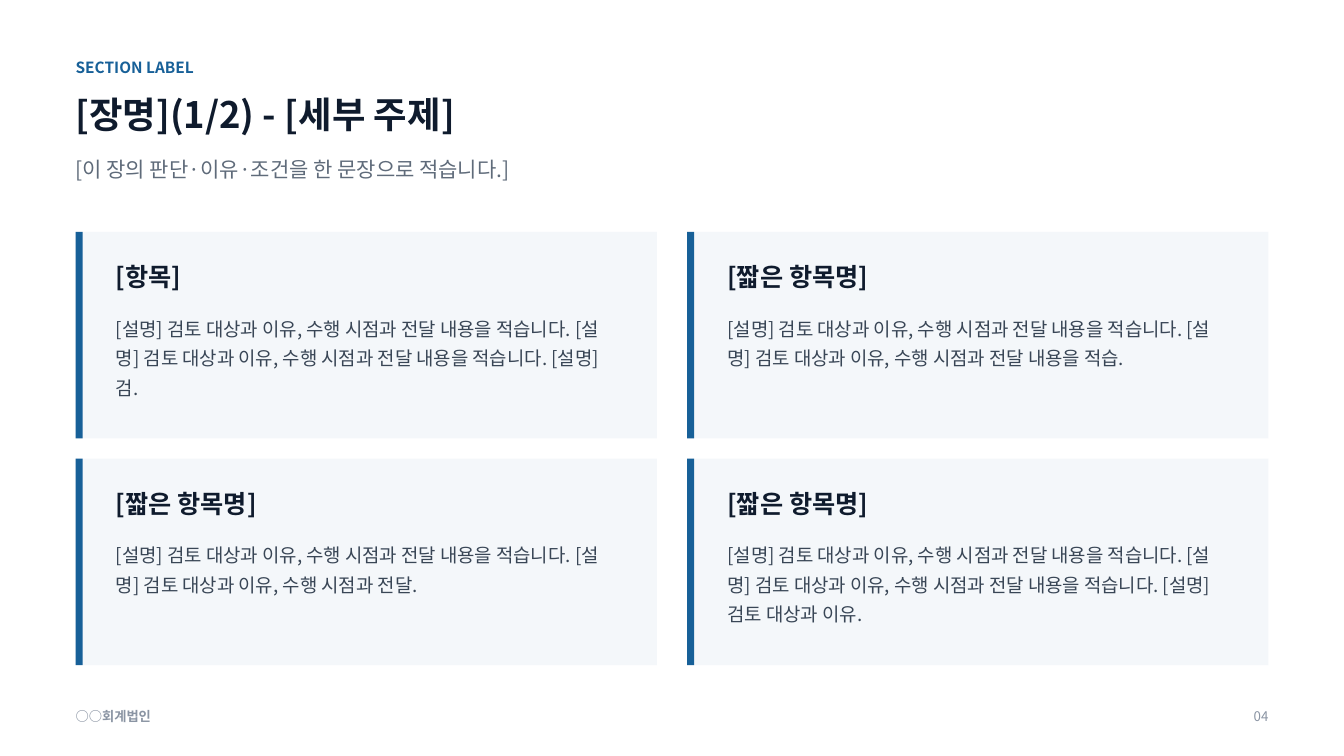
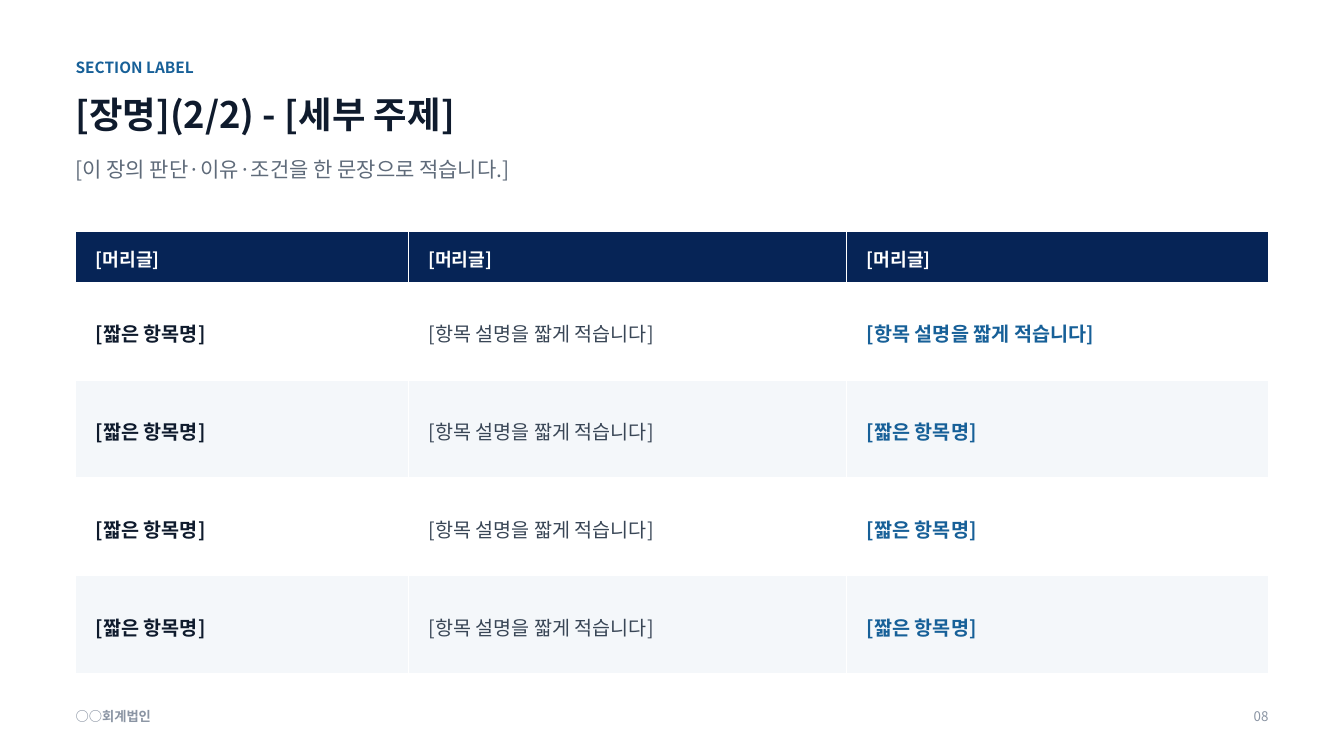
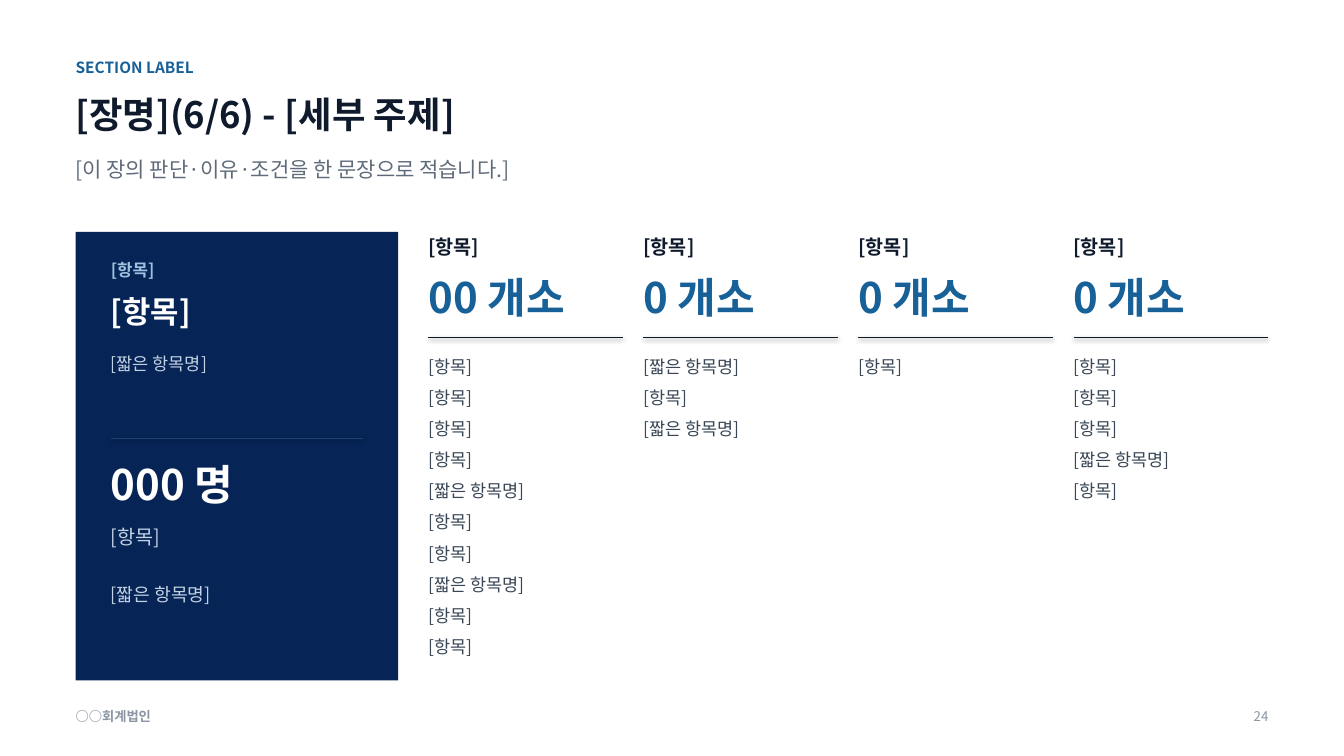
import pptx
import pptx.dml.color
import pptx.enum.shapes
import pptx.enum.text
import pptx.oxml
import pptx.oxml.ns
import pptx.util

Pt = pptx.util.Pt
RGBColor = pptx.dml.color.RGBColor
RECTANGLE = pptx.enum.shapes.MSO_SHAPE.RECTANGLE
STRAIGHT = pptx.enum.shapes.MSO_CONNECTOR.STRAIGHT
ANCHOR = pptx.enum.text.MSO_ANCHOR
ALIGN = pptx.enum.text.PP_ALIGN

FONT = "Noto Sans CJK KR"
WHITE = RGBColor(0xFF, 0xFF, 0xFF)
INK = RGBColor(0x0F, 0x1B, 0x2D)
BODY = RGBColor(0x39, 0x46, 0x56)
MUTED = RGBColor(0x5F, 0x6B, 0x7A)
FOOTER = RGBColor(0x8A, 0x94, 0xA3)
BLUE = RGBColor(0x17, 0x60, 0x98)
NAVY = RGBColor(0x06, 0x24, 0x56)
PALE = RGBColor(0xF4, 0xF7, 0xFA)
SKY = RGBColor(0x9C, 0xC3, 0xE0)
MIST = RGBColor(0xC3, 0xD3, 0xE4)
PANEL_RULE = RGBColor(0x1F, 0x41, 0x72)

LEFT, RIGHT = 54, 906
WIDTH = RIGHT - LEFT
CONTENT_TOP = 165.6


def style_paragraph(paragraph, size, color, bold=False, spacing=1.15):
    paragraph.line_spacing = spacing
    font = paragraph.font
    font.size = Pt(size)
    font.bold = bold
    font.color.rgb = color
    font.name = FONT
    properties = paragraph._p.pPr.find(pptx.oxml.ns.qn("a:defRPr"))
    properties.append(pptx.oxml.parse_xml(
        f'<a:ea {pptx.oxml.ns.nsdecls("a")} typeface="{FONT}"/>'))


def add_text(slide, box, lines, size, color, bold=False, spacing=1.15,
             align=None, anchor=ANCHOR.TOP, after=None):
    shape = slide.shapes.add_textbox(*[Pt(length) for length in box])
    frame = shape.text_frame
    frame.word_wrap = True
    frame.margin_left = frame.margin_right = frame.margin_top = frame.margin_bottom = 0
    frame.vertical_anchor = anchor
    frame.text = lines
    for paragraph in frame.paragraphs:
        paragraph.alignment = align
        if after is not None:
            paragraph.space_after = Pt(after)
        style_paragraph(paragraph, size, color, bold, spacing)


presentation = pptx.Presentation()
presentation.slide_width = Pt(960)
presentation.slide_height = Pt(540)

slides = []
for part, number in [("1/2", "04"), ("2/2", "08"), ("6/6", "24")]:
    slide = presentation.slides.add_slide(presentation.slide_layouts[6])
    add_text(slide, (LEFT, 39.6, 648, 18), "SECTION LABEL", 11, BLUE, True)
    add_text(slide, (LEFT, 61.2, WIDTH, 43.2), f"[장명]({part}) - [세부 주제]", 26, INK, True)
    add_text(slide, (LEFT, 109.44, WIDTH, 45.36),
             "[이 장의 판단·이유·조건을 한 문장으로 적습니다.]", 15, MUTED)
    add_text(slide, (LEFT, 504, 432, 15.84), "○○회계법인", 9.5, FOOTER, True)
    add_text(slide, (RIGHT - 72, 504, 72, 15.84), number, 9.5, FOOTER, align=ALIGN.RIGHT)
    slides.append(slide)
card_slide, table_slide, count_slide = slides

SENTENCE = "[설명] 검토 대상과 이유, 수행 시점과 전달 내용을 적습니다. "
cards = [
    ("[항목]", SENTENCE * 2 + "[설명] 검."),
    ("[짧은 항목명]", SENTENCE + "[설명] 검토 대상과 이유, 수행 시점과 전달 내용을 적습."),
    ("[짧은 항목명]", SENTENCE + "[설명] 검토 대상과 이유, 수행 시점과 전달."),
    ("[짧은 항목명]", SENTENCE * 2 + "[설명] 검토 대상과 이유."),
]
card_gap_x, card_gap_y, card_height, card_inset = 21.6, 14.4, 147.6, 28.8
card_width = (WIDTH - card_gap_x) / 2
text_width = card_width - 2 * card_inset
for index, (heading, description) in enumerate(cards):
    row, column = divmod(index, 2)
    x = LEFT + column * (card_width + card_gap_x)
    y = CONTENT_TOP + row * (card_height + card_gap_y)
    for width, color in [(card_width, PALE), (5.04, BLUE)]:
        shape = card_slide.shapes.add_shape(RECTANGLE, Pt(x), Pt(y), Pt(width), Pt(card_height))
        shape.shadow.inherit = False
        shape.fill.solid()
        shape.fill.fore_color.rgb = color
        shape.line.fill.background()
    add_text(card_slide, (x + card_inset, y + 18, text_width, 28.8), heading, 18, INK, True)
    add_text(card_slide, (x + card_inset, y + 56.16, text_width, 82.8),
             description, 13.5, BODY, spacing=1.3)

DETAIL = "[항목 설명을 짧게 적습니다]"
NAME = "[짧은 항목명]"
rows = [["[머리글]"] * 3, [NAME, DETAIL, DETAIL]] + [[NAME, DETAIL, NAME]] * 3
row_heights = [36] + [69.84] * 4
column_widths = [237.6, 313.2, 301.2]
column_styles = [(INK, True), (BODY, False), (BLUE, True)]
table = table_slide.shapes.add_table(
    len(rows), len(column_widths), Pt(LEFT), Pt(CONTENT_TOP),
    Pt(WIDTH), Pt(sum(row_heights))).table
table.first_row = False
table.horz_banding = False
for column, width in zip(table.columns, column_widths):
    column.width = Pt(width)
for row_index, values in enumerate(rows):
    table.rows[row_index].height = Pt(row_heights[row_index])
    for column_index, value in enumerate(values):
        cell = table.cell(row_index, column_index)
        cell.text = value
        cell.vertical_anchor = ANCHOR.MIDDLE
        cell.margin_left = cell.margin_right = Pt(14.4)
        cell.margin_top = cell.margin_bottom = Pt(4.32)
        for side in ("lnL", "lnR", "lnT", "lnB"):
            cell._tc.get_or_add_tcPr().append(pptx.oxml.parse_xml(
                f'<a:{side} {pptx.oxml.ns.nsdecls("a")} w="12700"><a:solidFill>'
                f'<a:srgbClr val="{WHITE}"/></a:solidFill></a:{side}>'))
        cell.fill.solid()
        if row_index == 0:
            cell.fill.fore_color.rgb = NAVY
            style_paragraph(cell.text_frame.paragraphs[0], 13, WHITE, True)
        else:
            cell.fill.fore_color.rgb = WHITE if row_index % 2 else PALE
            style_paragraph(cell.text_frame.paragraphs[0], 14, *column_styles[column_index])

panel = count_slide.shapes.add_shape(RECTANGLE, Pt(LEFT), Pt(CONTENT_TOP), Pt(230.4), Pt(320.4))
panel.shadow.inherit = False
panel.fill.solid()
panel.fill.fore_color.rgb = NAVY
panel.line.fill.background()
panel_texts = [
    (183.6, 21.6, "[항목]", 12, SKY, True, 1.15, ANCHOR.TOP),
    (205.2, 36, "[항목]", 22, WHITE, True, 1.15, ANCHOR.TOP),
    (248.4, 43.2, "[짧은 항목명]", 12.5, MIST, False, 1.25, ANCHOR.TOP),
    (309.6, 54, "000 명", 30, WHITE, True, 1.15, ANCHOR.BOTTOM),
    (370.8, 64.8, "[항목]", 14, MIST, False, 1.25, ANCHOR.TOP),
    (414, 50.4, "[짧은 항목명]", 13, MIST, False, 1.15, ANCHOR.TOP),
]
panel_left = 79.2
for top, height, text, size, color, bold, spacing, anchor in panel_texts:
    add_text(count_slide, (panel_left, top, 187.2, height), text, size, color, bold,
             spacing, anchor=anchor)

ITEM = "[항목]"
groups = [
    ("00 개소", [ITEM] * 4 + [NAME] + [ITEM] * 2 + [NAME] + [ITEM] * 2),
    ("0 개소", [NAME, ITEM, NAME]),
    ("0 개소", [ITEM]),
    ("0 개소", [ITEM] * 3 + [NAME, ITEM]),
]
group_left, group_gap = 306, 14.4
group_width = (RIGHT - group_left - group_gap * (len(groups) - 1)) / len(groups)
rules = [(panel_left, 313.2, 180, PANEL_RULE, 0.75)]
for index, (count, items) in enumerate(groups):
    x = group_left + index * (group_width + group_gap)
    add_text(count_slide, (x, CONTENT_TOP, group_width, 21.6), ITEM, 14, INK, True)
    add_text(count_slide, (x, 188.64, group_width, 43.2), count, 30, BLUE, True)
    add_text(count_slide, (x, 252, group_width, 230.4), "\n".join(items), 12.5, BODY, after=5)
    rules.append((x, 241.2, group_width, INK, 1))
for x, y, width, color, weight in rules:
    rule = count_slide.shapes.add_connector(STRAIGHT, Pt(x), Pt(y), Pt(x + width), Pt(y))
    rule.line.color.rgb = color
    rule.line.width = Pt(weight)

presentation.save("out.pptx")
